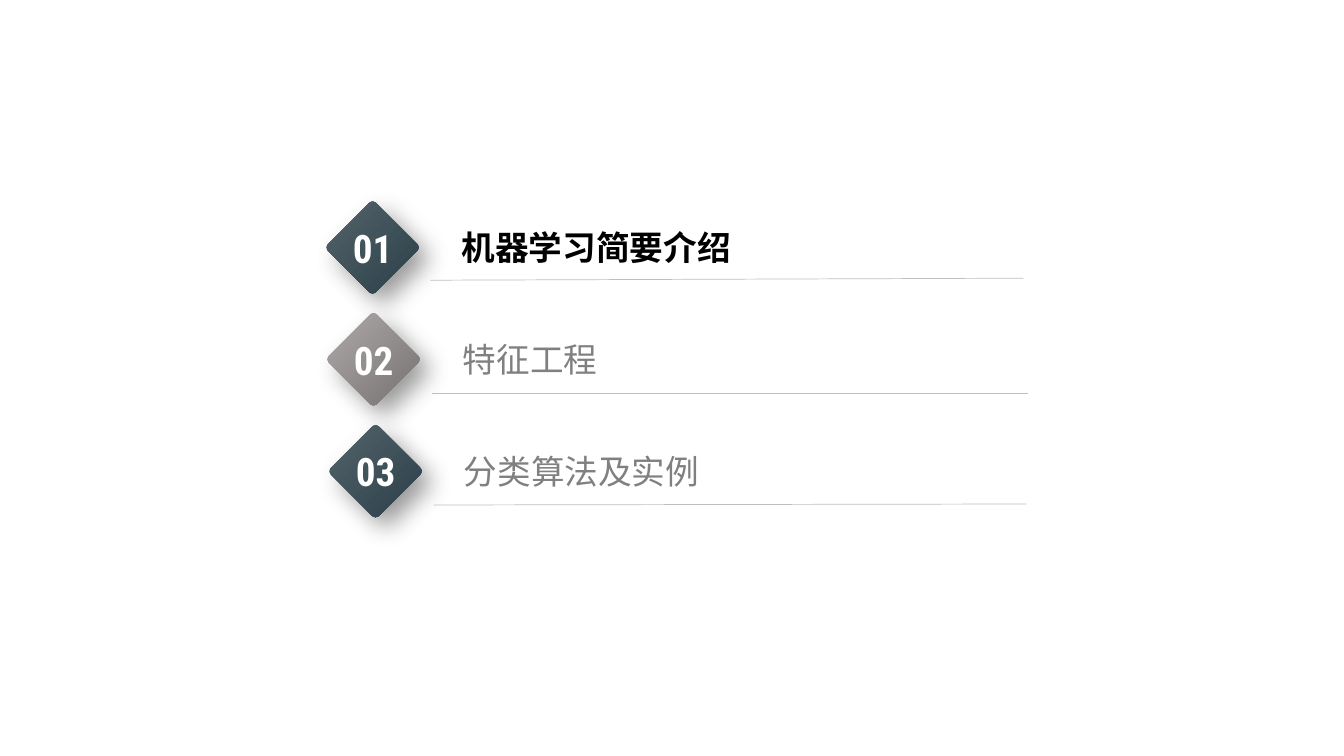
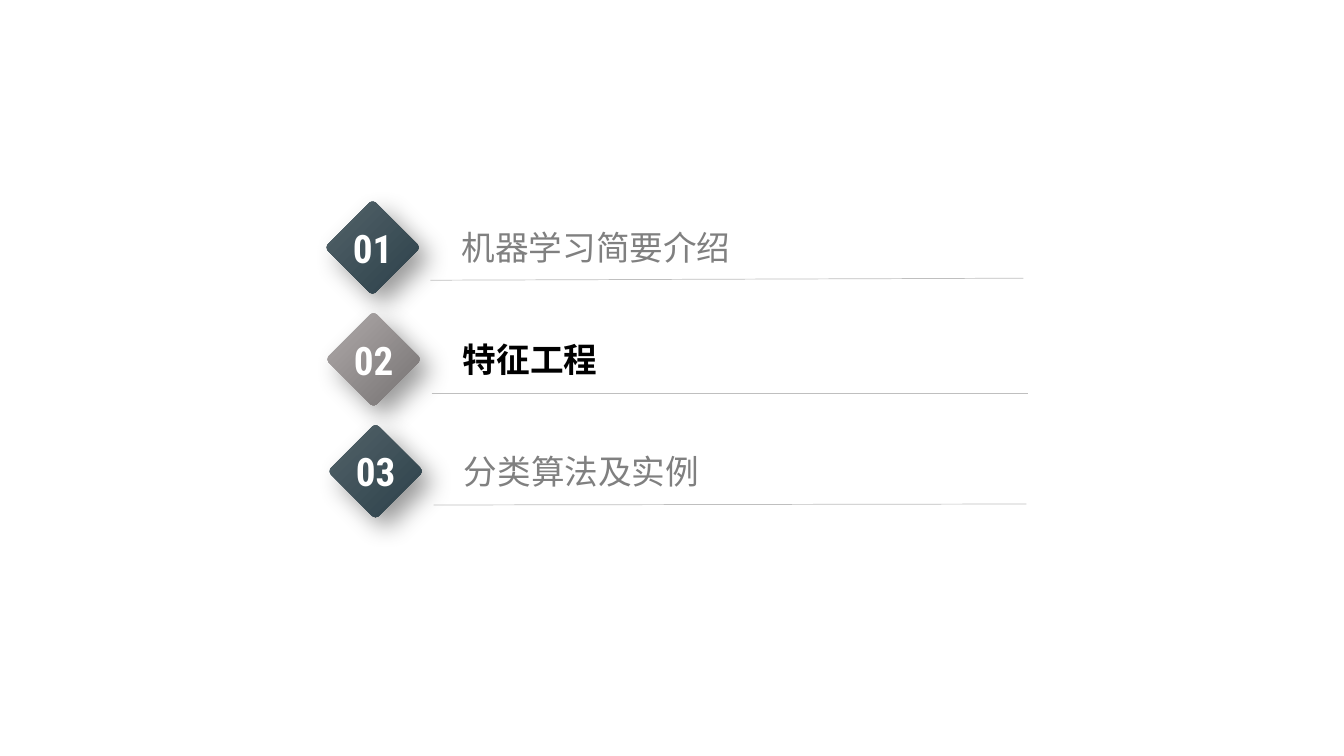
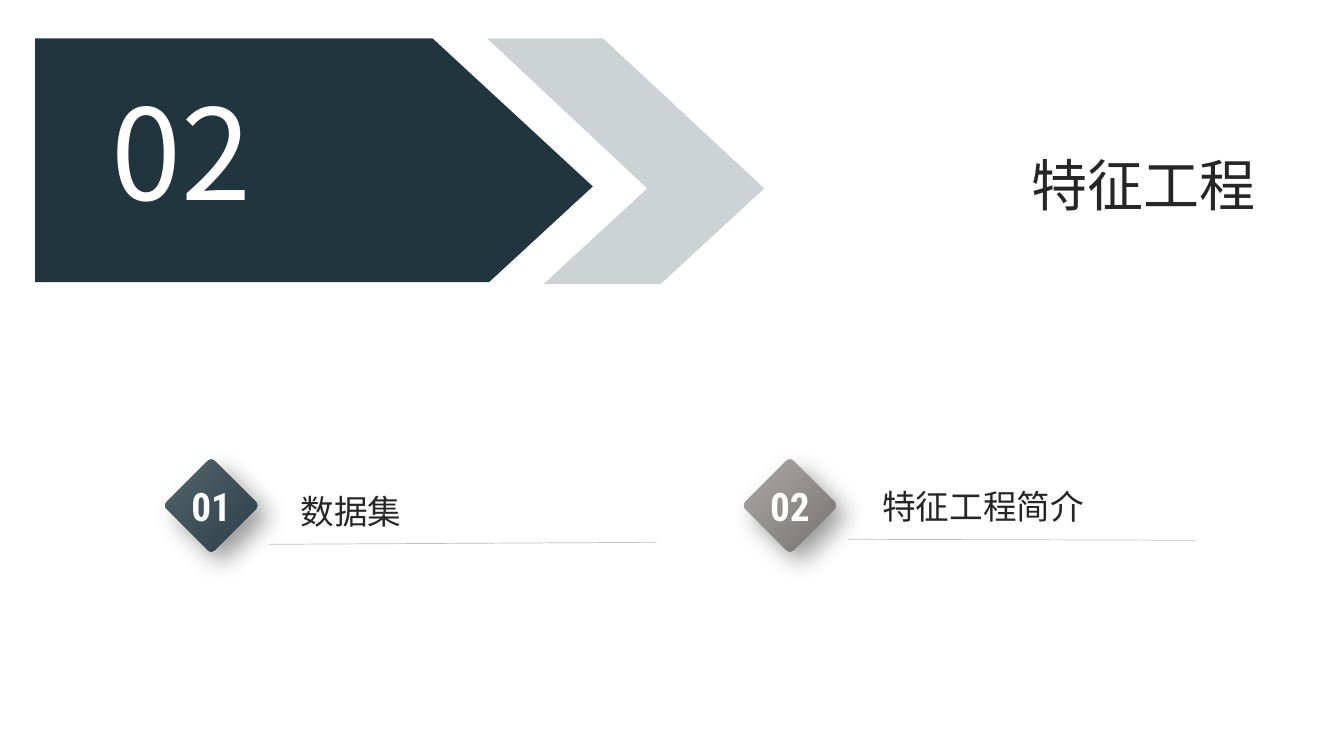
import math
from dataclasses import dataclass

import pptx
import pptx.dml.color
import pptx.enum.shapes
import pptx.enum.text
import pptx.oxml.ns
import pptx.util
from lxml import etree

Inches = pptx.util.Inches
Pt = pptx.util.Pt
Align = pptx.enum.text.PP_ALIGN
Anchor = pptx.enum.text.MSO_ANCHOR


# Theme
@dataclass(frozen=True)
class Theme:
    slate: tuple = ("526269", "2D414A")
    stone: tuple = ("AFABAB", "767171")
    banner: str = "08202A"
    white: str = "FFFFFF"
    active: str = "000000"
    muted: str = "808080"
    ink: str = "262626"
    rule: str = "BFBFBF"
    latin: str = "Roboto Condensed"
    chinese: str = "Noto Sans CJK SC"
    item_size: int = 24
    badge_size: int = 28
    title_size: int = 40
    chapter_size: int = 90
    badge_width: float = 0.91
    badge_radius: float = 0.05


THEME = Theme()

# Content: label, badge (left, top), text (left, top), rule start, rule end
AGENDA = [
    ("机器学习简要介绍", (3.24, 2), (4.58, 2.25), (4.27, 2.78), (10.15, 2.76)),
    ("特征工程", (3.25, 3.11), (4.59, 3.36), (4.28, 3.9), (10.2, 3.9)),
    ("分类算法及实例", (3.27, 4.22), (4.6, 4.47), (4.3, 5.01), (10.18, 5)),
]
AGENDA_PAGES = [0, 1]  # highlighted entry on each agenda page
SECTIONS = [
    ("数据集", (1.64, 4.56), (2.98, 4.87), (2.67, 5.4), (6.51, 5.38)),
    ("特征工程简介", (7.38, 4.56), (8.75, 4.82), (8.41, 5.35), (11.86, 5.36)),
]
CHAPTER_NUMBER, CHAPTER_TITLE = "02", "特征工程"
# Banner outlines with their opacity in percent
BANNERS = [
    ([(4.29, 0.38), (5.88, 1.85), (4.85, 2.8), (0.35, 2.8), (0.35, 0.38)], 90),
    ([(5.98, 0.38), (7.58, 1.87), (6.55, 2.82), (5.39, 2.82), (6.42, 1.87),
      (4.83, 0.38)], 20),
]


# Helpers
def rgb(value):
    return pptx.dml.color.RGBColor.from_string(value)


def child(parent, tag, **attributes):
    return etree.SubElement(parent, pptx.oxml.ns.qn(tag), attributes)


def write(shape, text, size, color, bold=False, align=Align.LEFT, latin=THEME.latin):
    frame = shape.text_frame
    frame.word_wrap = True
    frame.auto_size = pptx.enum.text.MSO_AUTO_SIZE.NONE
    frame.vertical_anchor = Anchor.MIDDLE
    frame.margin_left = frame.margin_right = frame.margin_top = frame.margin_bottom = 0
    para = frame.paragraphs[0]
    para.alignment = align
    span = para.add_run()
    span.text = text
    span.font.size, span.font.bold = Pt(size), bold
    span.font.color.rgb = rgb(color)
    span.font.name = latin
    child(span.font._element, "a:ea", typeface=THEME.chinese)


def place(shape, left, top, width, height):
    shape.left, shape.top = Inches(left), Inches(top)
    shape.width, shape.height = Inches(width), Inches(height)
    return shape


def add_outline(page, points):
    corners = [(Inches(x), Inches(y)) for x, y in points]
    builder = page.shapes.build_freeform(*corners[0])
    builder.add_line_segments(corners[1:], close=True)
    shape = builder.convert_to_shape()
    shape.line.fill.background()
    shape.shadow.inherit = False
    return shape


def add_badge(page, number, left, top):
    """Draw a diamond with rounded corners, a gradient and a soft shadow."""
    radius, half = THEME.badge_radius, THEME.badge_width / 2
    reach = half - radius
    points = []
    for corner in (0, 90, 180, 270):
        turn = math.radians(corner)
        for angle in range(corner - 45, corner + 46, 15):
            bend = math.radians(angle)
            points.append((left + half + reach * math.cos(turn) + radius * math.cos(bend),
                           top + half + reach * math.sin(turn) + radius * math.sin(bend)))
    badge = add_outline(page, points)
    badge.fill.gradient()
    badge.fill.gradient_angle = 315
    colors = THEME.slate if number % 2 else THEME.stone
    for stop, color in zip(badge.fill.gradient_stops, colors):
        stop.color.rgb = rgb(color)
    effects = badge._element.spPr.find(pptx.oxml.ns.qn("a:effectLst"))
    shadow = child(effects, "a:outerShdw", blurRad=str(Pt(18)), dist=str(Pt(10)),
                   dir="2700000", algn="tl", rotWithShape="0")
    child(child(shadow, "a:srgbClr", val="000000"), "a:alpha", val="40000")
    write(badge, f"{number:02d}", THEME.badge_size, THEME.white, True, Align.CENTER)


def add_rule(page, start, end):
    rule = page.shapes.add_connector(pptx.enum.shapes.MSO_CONNECTOR.STRAIGHT,
                                     *map(Inches, start + end))
    rule.line.color.rgb = rgb(THEME.rule)
    rule.line.width = Pt(0.5)
    child(rule._element.spPr, "a:effectLst")


def add_entries(page, entries, color, active=None):
    """Number the entries; the active one is the title of the page."""
    for index, (label, badge, text, start, end) in enumerate(entries):
        chosen = index == active
        add_badge(page, index + 1, *badge)
        box = page.shapes.title if chosen else page.shapes.add_textbox(0, 0, 0, 0)
        place(box, *text, end[0] - text[0], 0.4)
        write(box, label, THEME.item_size, THEME.active if chosen else color, chosen)
        add_rule(page, start, end)


# Pages
def add_agenda(deck, layout, active):
    add_entries(deck.slides.add_slide(layout), AGENDA, THEME.muted, active)


def add_chapter(deck, layout):
    page = deck.slides.add_slide(layout)
    for points, opacity in BANNERS:
        banner = add_outline(page, points)
        banner.fill.solid()
        banner.fill.fore_color.rgb = rgb(THEME.banner)
        color = banner._element.spPr.find(".//" + pptx.oxml.ns.qn("a:srgbClr"))
        child(color, "a:alpha", val=str(opacity * 1000))
    title = place(page.shapes.title, 2.23, 1.49, 10.22, 0.67)
    write(title, CHAPTER_TITLE, THEME.title_size, THEME.ink, align=Align.RIGHT)
    number = place(page.shapes.add_textbox(0, 0, 0, 0), 1.11, 0.58, 1.5, 1.81)
    write(number, CHAPTER_NUMBER, THEME.chapter_size, THEME.white, latin=THEME.chinese)
    add_entries(page, SECTIONS, THEME.ink)


def main():
    deck = pptx.Presentation()
    deck.slide_width, deck.slide_height = Inches(13.33), Inches(7.5)
    layout = deck.slide_layouts.get_by_name("Title Only")
    for active in AGENDA_PAGES:
        add_agenda(deck, layout, active)
    add_chapter(deck, layout)
    deck.save("out.pptx")


if __name__ == "__main__":
    main()
